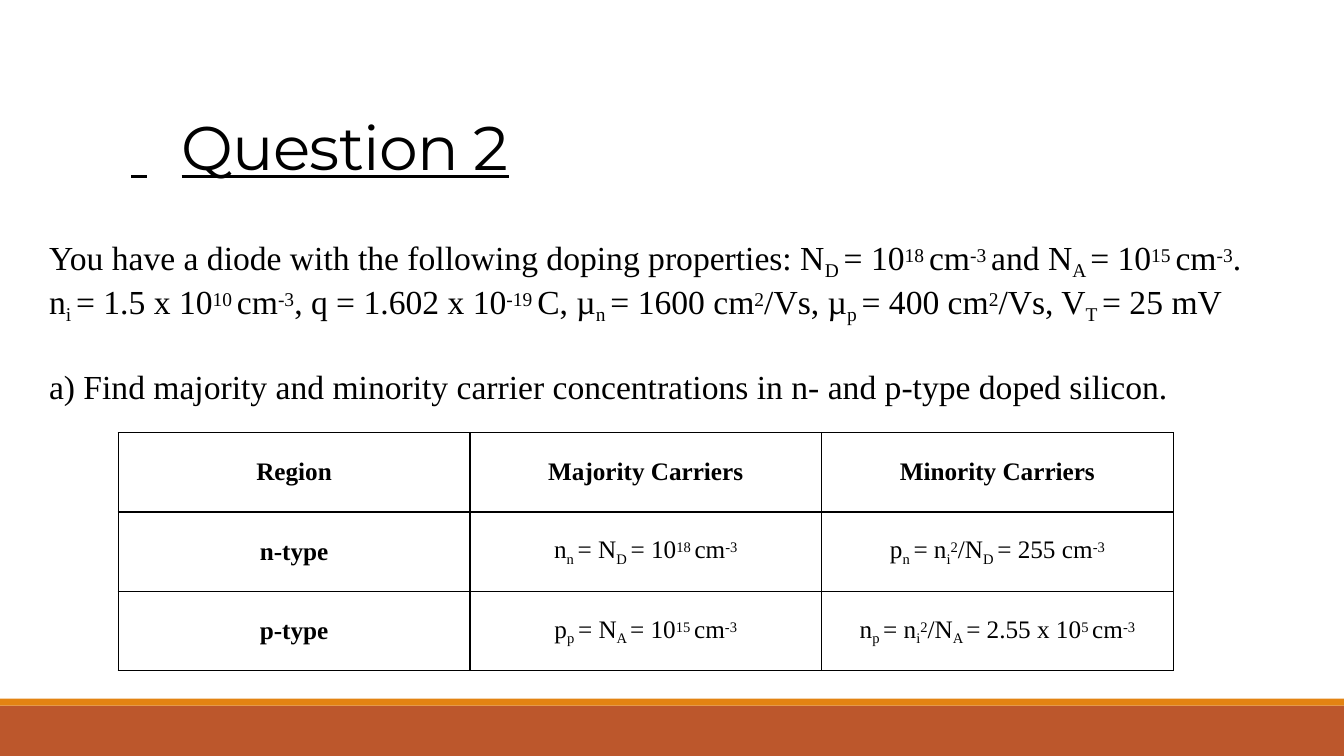
"""Builds the diode doping question slide with its carrier concentration table."""
from lxml.etree import SubElement
from pptx import Presentation
from pptx.dml.color import RGBColor
from pptx.enum.shapes import MSO_SHAPE
from pptx.enum.text import MSO_ANCHOR, MSO_AUTO_SIZE, PP_ALIGN
from pptx.oxml.ns import qn
from pptx.util import Pt

THEME = {
    "ink": RGBColor(0x00, 0x00, 0x00),
    "band": RGBColor(0xBC, 0x57, 0x2C),
    "stripe": RGBColor(0xE3, 0x83, 0x12),
    "title": {"name": "Montserrat", "size": Pt(44), "underline": True, "bold": False},
    "body": {"name": "Times New Roman", "size": Pt(24)},
    "cell": {"name": "Times New Roman", "size": Pt(18), "bold": False},
    "head": {"name": "Times New Roman", "size": Pt(18), "bold": True},
}
BASELINES = {"_": "-21000", "^": "24000"}
FRAME = {"margin_left": 0, "margin_right": 0, "margin_top": Pt(1), "margin_bottom": 0,
         "word_wrap": True, "auto_size": MSO_AUTO_SIZE.NONE, "vertical_anchor": MSO_ANCHOR.TOP}
CELL = {"margin_left": 0, "margin_right": 0, "margin_top": 0, "margin_bottom": 0,
        "vertical_anchor": MSO_ANCHOR.MIDDLE}


def set_all(obj, values):
    """Set every attribute named in values."""
    for name, value in values.items():
        setattr(obj, name, value)


def write(p, text, style):
    """Write runs split at bars, where _ lowers and ^ raises a run."""
    for part in text.split("|"):
        if part == "\n":
            p.add_line_break()
            continue
        r = p.add_run()
        r.text = part.lstrip("_^")
        set_all(r.font, THEME[style])
        r.font.color.rgb = THEME["ink"]
        if part[0] in BASELINES:
            r._r.get_or_add_rPr().set("baseline", BASELINES[part[0]])


prs = Presentation()
set_all(prs, {"slide_width": Pt(960), "slide_height": Pt(540)})
s = prs.slides.add_slide(prs.slide_layouts[5])

for color, top, height in [("band", 504, 36), ("stripe", 499, 5)]:
    sp = s.shapes.add_shape(MSO_SHAPE.RECTANGLE, 0, Pt(top), prs.slide_width, Pt(height))
    sp.shadow.inherit = False
    sp.fill.solid()
    sp.fill.fore_color.rgb = THEME[color]
    sp.line.fill.background()

title = s.shapes.title
set_all(title, {"left": Pt(80), "top": Pt(77), "width": Pt(799), "height": Pt(55)})
set_all(title.text_frame, FRAME)
p = title.text_frame.paragraphs[0]
p.alignment = PP_ALIGN.LEFT
write(p, " \tQuestion 2", "title")
p.runs[0]._r.get_or_add_rPr().set("spc", "-50")
pPr = p._p.get_or_add_pPr()
pPr.set("marL", str(Pt(13.7)))
pPr.set("indent", "0")
tabs = SubElement(pPr, qn("a:tabLst"))
SubElement(tabs, qn("a:tab"), pos=str(Pt(275)), algn="l")

question = [
    ("You have a diode with the following doping properties: N|_D |= 10|^18 |cm|^-3 |and N|_A "
     "|= 10|^15 |cm|^-3|.|\n|n|_i |= 1.5 x 10|^10 |cm|^-3|, q = 1.602 x 10|^-19 |C, µ|_n "
     "|= 1600 cm|^2|/Vs, µ|_p |= 400 cm|^2|/Vs, V|_T |= 25 mV", 1),
    ("a) Find majority and minority carrier concentrations in n- and p-type doped silicon.", 29),
]
tf = s.shapes.add_textbox(Pt(35), Pt(168), Pt(876), Pt(117)).text_frame
set_all(tf, FRAME)
for i, (text, gap) in enumerate(question):
    p = tf.add_paragraph() if i else tf.paragraphs[0]
    p.space_before = Pt(gap)
    write(p, text, "body")

rows = [
    ["Region", "Majority Carriers", "Minority Carriers"],
    ["n-type", "n|_n |= N|_D |= 10|^18 |cm|^-3", "p|_n |= n|_i|^2|/N|_D |= 255 cm|^-3"],
    ["p-type", "p|_p |= N|_A |= 10|^15 |cm|^-3", "n|_p |= n|_i|^2|/N|_A |= 2.55 x 10|^5 |cm|^-3"],
]
table = s.shapes.add_table(3, 3, Pt(84.5), Pt(309), Pt(753.6), Pt(170.1)).table
set_all(table, {"first_row": False, "horz_banding": False})
for i, row in enumerate(rows):
    table.rows[i].height = Pt(56.7)
    for j, text in enumerate(row):
        table.columns[j].width = Pt(251.2)
        cell = table.cell(i, j)
        set_all(cell, CELL)
        tcPr = cell._tc.get_or_add_tcPr()
        for side in ("lnL", "lnR", "lnT", "lnB"):
            ln = SubElement(tcPr, qn("a:" + side), w=str(Pt(1)))
            fill = SubElement(ln, qn("a:solidFill"))
            SubElement(fill, qn("a:srgbClr"), val=str(THEME["ink"]))
        cell.fill.background()
        p = cell.text_frame.paragraphs[0]
        p.alignment = PP_ALIGN.CENTER
        write(p, text, "cell" if i and j else "head")

prs.save("out.pptx")
